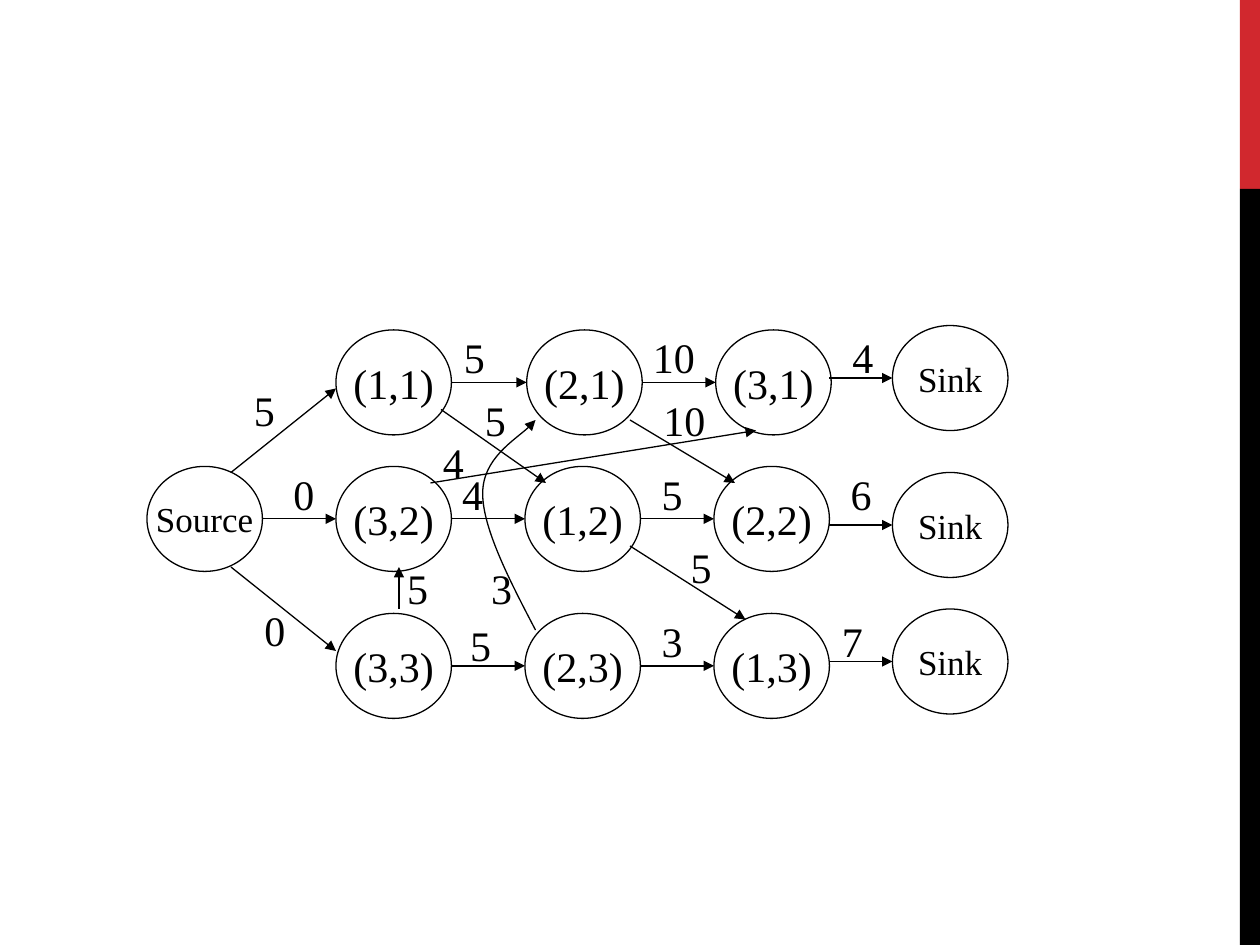
"""Draw a job-shop network from a source through three machine rows to the sinks."""
from dataclasses import dataclass
from itertools import pairwise

from lxml.etree import SubElement
from pptx import Presentation
from pptx.dml.color import RGBColor
from pptx.enum.shapes import MSO_CONNECTOR, MSO_SHAPE
from pptx.enum.text import MSO_ANCHOR, MSO_AUTO_SIZE, PP_ALIGN
from pptx.oxml.ns import qn
from pptx.util import Pt


@dataclass(frozen=True)
class Theme:
    font: str = "Times New Roman"
    ink: RGBColor = RGBColor(0, 0, 0)
    accent: RGBColor = RGBColor(0xD1, 0x28, 0x2E)
    big: int = 24
    small: int = 20
    line: float = 0.75


@dataclass(frozen=True)
class Row:
    y: float
    sink_y: float
    xs: tuple[float, ...]
    names: tuple[str, ...]


@dataclass(frozen=True)
class Label:
    text: str
    x: float
    y: float


T = Theme()
NODE_W, NODE_H = 66, 60
SOURCE_X, SINK_X = 84, 510
ROWS = (
    Row(188.5, 186, (192, 301, 409), ("(1,1)", "(2,1)", "(3,1)")),
    Row(266.5, 270, (192, 300, 408), ("(3,2)", "(1,2)", "(2,2)")),
    Row(350.5, 348, (192, 300, 408), ("(3,3)", "(2,3)", "(1,3)")),
)
CROSS_EDGES = (
    (132, 270, 192, 222),
    (132, 324, 192, 372),
    (252, 234, 312, 276),
    (360, 312, 426, 354),
    (360, 240, 420, 276),
    (228, 348, 228, 324),
    (246, 276, 432, 246),
)
CURVE = ((306, 360), (290.9, 331.2), (275.8, 301.7), (275.8, 282),
         (275.8, 262), (301, 247), (306, 240))
LABELS = (
    Label("5", 138, 216), Label("5", 258, 186), Label("10", 366, 186),
    Label("4", 480, 186), Label("4", 257, 264), Label("5", 371, 264),
    Label("6", 479, 264), Label("5", 261.5, 350.5), Label("3", 371, 348),
    Label("7", 474, 348), Label("0", 144, 342), Label("0", 160.5, 264),
    Label("5", 270, 222), Label("5", 387.5, 306), Label("3", 273.5, 318),
    Label("10", 372, 222), Label("5", 225.5, 318), Label("4", 246, 246),
)


def add_text(tf, text: str, size: int, align: PP_ALIGN) -> None:
    """Write one run in the theme font."""
    tf.word_wrap = False
    p = tf.paragraphs[0]
    p.alignment = align
    r = p.add_run()
    r.text = text
    r.font.name, r.font.size = T.font, Pt(size)
    r.font.color.rgb = T.ink


def add_bar(s, y: float, h: float, color: RGBColor) -> None:
    """Add one block of the right-hand side band."""
    sp = s.shapes.add_shape(MSO_SHAPE.RECTANGLE, Pt(708.5), Pt(y), Pt(11.5), Pt(h))
    sp.shadow.inherit = False
    sp.fill.solid()
    sp.fill.fore_color.rgb = color
    sp.line.fill.background()


def add_node(s, x: float, y: float, text: str, size: int) -> None:
    """Add an outlined ellipse with a centred name."""
    sp = s.shapes.add_shape(MSO_SHAPE.OVAL, Pt(x), Pt(y), Pt(NODE_W), Pt(NODE_H))
    sp.shadow.inherit = False
    sp.fill.background()
    sp.line.color.rgb, sp.line.width = T.ink, Pt(T.line)
    sp.text_frame.vertical_anchor = MSO_ANCHOR.MIDDLE
    add_text(sp.text_frame, text, size, PP_ALIGN.CENTER)


def style_arrow(sp) -> None:
    """Give a line the theme stroke and a triangle at its end."""
    sp.line.color.rgb, sp.line.width = T.ink, Pt(T.line)
    SubElement(sp.line._get_or_add_ln(), qn("a:tailEnd"), type="triangle")


def add_edge(s, x1: float, y1: float, x2: float, y2: float) -> None:
    """Add a straight arrow."""
    sp = s.shapes.add_connector(MSO_CONNECTOR.STRAIGHT, Pt(x1), Pt(y1), Pt(x2), Pt(y2))
    style_arrow(sp)
    SubElement(sp._element.spPr, qn("a:effectLst"))


def add_curve(s, points: tuple[tuple[float, float], ...]) -> None:
    """Add an arrow along cubic Bezier segments."""
    start, *rest = [(Pt(x), Pt(y)) for x, y in points]
    fb = s.shapes.build_freeform(*start)
    fb.add_line_segments(rest, close=False)
    sp = fb.convert_to_shape()
    sp.shadow.inherit = False
    sp.fill.background()
    style_arrow(sp)
    lines = list(sp._element.iter(qn("a:lnTo")))
    outline = lines[0].getparent()
    for i in range(0, len(lines), 3):
        cubic = SubElement(outline, qn("a:cubicBezTo"))
        for ln in lines[i:i + 3]:
            cubic.append(ln[0])
            outline.remove(ln)


def add_label(s, label: Label) -> None:
    """Add an edge weight."""
    w = 14.4 + 12 * len(label.text)
    tf = s.shapes.add_textbox(Pt(label.x), Pt(label.y), Pt(w), Pt(36)).text_frame
    tf.auto_size = MSO_AUTO_SIZE.SHAPE_TO_FIT_TEXT
    add_text(tf, label.text, T.big, PP_ALIGN.LEFT)


def add_row(s, row: Row) -> None:
    """Add the operations of a row, its sink and the arrows between them."""
    mid, sink_mid = row.y + NODE_H / 2, row.sink_y + NODE_H / 2
    for x, name in zip(row.xs, row.names):
        add_node(s, x, row.y, name, T.big)
    for a, b in pairwise(row.xs):
        add_edge(s, a + NODE_W, mid, b, mid)
    add_node(s, SINK_X, row.sink_y, "Sink", T.small)
    add_edge(s, 474, sink_mid, SINK_X, sink_mid)


def main() -> None:
    """Build and save the slide."""
    prs = Presentation()
    prs.slide_width, prs.slide_height = Pt(720), Pt(540)
    s = prs.slides.add_slide(prs.slide_layouts[6])
    add_bar(s, 0, 108, T.accent)
    add_bar(s, 108, 432, T.ink)
    for row in ROWS:
        add_row(s, row)
    middle = ROWS[1]
    mid = middle.y + NODE_H / 2
    add_node(s, SOURCE_X, middle.y, "Source", T.small)
    add_edge(s, SOURCE_X + NODE_W, mid, middle.xs[0], mid)
    for edge in CROSS_EDGES:
        add_edge(s, *edge)
    add_curve(s, CURVE)
    for label in LABELS:
        add_label(s, label)
    prs.save("out.pptx")


if __name__ == "__main__":
    main()
